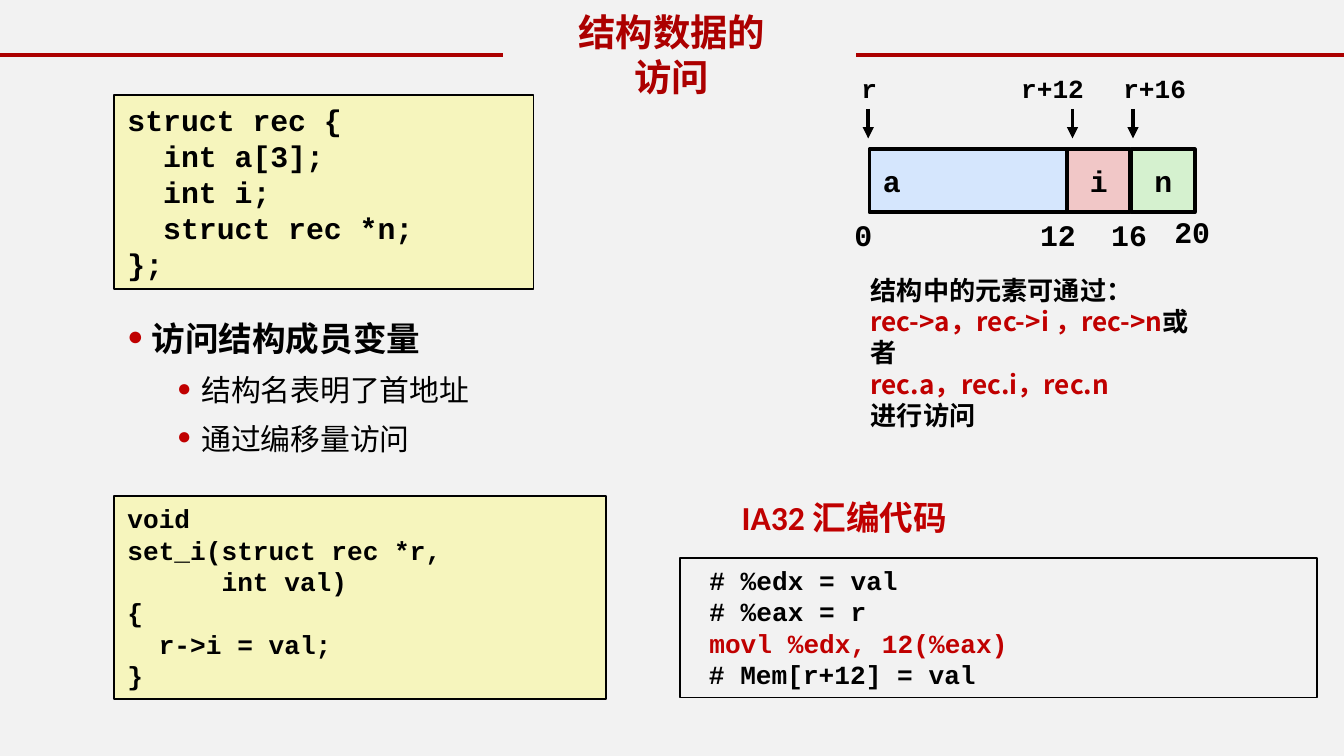
from dataclasses import dataclass
from typing import NamedTuple

from lxml.etree import SubElement
from pptx import Presentation
from pptx.dml.color import RGBColor
from pptx.enum.shapes import MSO_CONNECTOR, MSO_SHAPE
from pptx.enum.text import MSO_ANCHOR, PP_ALIGN
from pptx.oxml.ns import qn
from pptx.util import Inches, Pt

COLORS = {
    "background": "F2F2F2",
    "title": "AC0000",
    "accent": "C00000",
    "ink": "000000",
    "code": "F6F5BD",
    "array": "D5E6FD",
    "integer": "F1C7C7",
    "pointer": "D5F1CF",
}
CJK = "Noto Sans CJK SC"
MONO = "Courier New"
LATIN = "Calibri"


class Box(NamedTuple):
    left: float
    top: float
    width: float
    height: float


@dataclass
class Style:
    size: float
    font: str = MONO
    color: str = "ink"
    bold: bool = True


@dataclass
class Field:
    name: str
    left: float
    width: float
    fill: str
    align: PP_ALIGN


@dataclass
class Label:
    text: str
    left: float
    top: float
    width: float
    height: float
    size: float


CODE_LARGE = Style(16)
CODE_SMALL = Style(14)
CODE_RED = Style(14, color="accent")
NOTE = Style(14, CJK)
NOTE_RED = Style(14, CJK, "accent")

FIELDS = [
    Field("i", 7.94, 0.47, "integer", PP_ALIGN.CENTER),
    Field("a", 6.47, 1.47, "array", PP_ALIGN.LEFT),
    Field("n", 8.42, 0.47, "pointer", PP_ALIGN.CENTER),
]
LABELS = [
    Label("0", 6.26, 1.56, 0.33, 0.37, 16),
    Label("12", 7.64, 1.56, 0.47, 0.37, 16),
    Label("16", 8.17, 1.56, 0.47, 0.37, 16),
    Label("20", 8.64, 1.54, 0.47, 0.37, 16),
    Label("r+12", 7.5, 0.49, 0.67, 0.34, 14),
    Label("r", 6.31, 0.49, 0.32, 0.34, 14),
    Label("r+16", 8.26, 0.49, 0.67, 0.34, 14),
]
ADDRESS_ARROWS = [7.98, 6.46, 8.43]

STRUCT_CODE = ["struct rec {", "  int a[3];", "  int i;", "  struct rec *n;", "};"]
SETTER_CODE = ["void", "set_i(struct rec *r,", "      int val)", "{", "  r->i = val;", "}"]
ASSEMBLY = [
    [("\t# %edx = val", CODE_SMALL)],
    [("\t# %eax = r", CODE_SMALL)],
    [("\t", CODE_SMALL), ("movl %edx, 12(%eax)", CODE_RED)],
    [(" # Mem[r+12] = val", CODE_SMALL)],
]
ACCESS_NOTE = [
    [("结构中的元素可通过：", NOTE)],
    [("rec->a，rec->i ，rec->n", NOTE_RED), ("或者", NOTE)],
    [("rec.a，rec.i，rec.n", NOTE_RED)],
    [("进行访问", NOTE)],
]
POINTS = [
    ("访问结构成员变量", 0, Style(18, LATIN)),
    ("结构名表明了首地址", 1, Style(16, LATIN, bold=False)),
    ("通过编移量访问", 1, Style(16, LATIN, bold=False)),
]

Paragraphs = list[list[tuple[str, Style]]]


def rgb(name: str) -> RGBColor:
    return RGBColor.from_string(COLORS[name])


def add_run(paragraph, text: str, style: Style) -> None:
    run = paragraph.add_run()
    run.text = text
    run.font.size = Pt(style.size)
    run.font.bold = style.bold
    run.font.name = style.font
    run.font.color.rgb = rgb(style.color)
    SubElement(run._r.get_or_add_rPr(), qn("a:ea"), typeface=CJK)


def write(frame, paragraphs: Paragraphs, align: PP_ALIGN = PP_ALIGN.LEFT,
          anchor: MSO_ANCHOR = MSO_ANCHOR.TOP, wrap: bool = True) -> None:
    frame.word_wrap = wrap
    frame.vertical_anchor = anchor
    for index, runs in enumerate(paragraphs):
        paragraph = frame.add_paragraph() if index else frame.paragraphs[0]
        paragraph.alignment = align
        for text, style in runs:
            add_run(paragraph, text, style)


def plain(lines: list[str], style: Style) -> Paragraphs:
    return [[(line, style)] for line in lines]


def add_text(slide, box: Box):
    return slide.shapes.add_textbox(*map(Inches, box)).text_frame


def add_panel(slide, box: Box, fill: str, line_width: float):
    panel = slide.shapes.add_shape(MSO_SHAPE.RECTANGLE, *map(Inches, box))
    panel.shadow.inherit = False
    panel.fill.solid()
    panel.fill.fore_color.rgb = rgb(fill)
    panel.line.color.rgb = rgb("ink")
    panel.line.width = Pt(line_width)
    return panel.text_frame


def add_line(slide, start: tuple[float, float], end: tuple[float, float],
             color: str, width: float, arrow: bool = False) -> None:
    line = slide.shapes.add_connector(
        MSO_CONNECTOR.STRAIGHT, *map(Inches, (*start, *end)))
    line.line.color.rgb = rgb(color)
    line.line.width = Pt(width)
    if arrow:
        SubElement(line.line._get_or_add_ln(), qn("a:tailEnd"), type="triangle")
    SubElement(line._element.spPr, qn("a:effectLst"))


def add_points(slide, box: Box) -> None:
    frame = add_text(slide, box)
    write(frame, [[] for _ in POINTS])
    for index, (text, level, style) in enumerate(POINTS):
        paragraph = frame.paragraphs[index]
        properties = paragraph._p.get_or_add_pPr()
        properties.set("marL", str(Inches(0.55 if level else 0.18)))
        properties.set("indent", str(Inches(-0.18)))
        bullet_color = SubElement(properties, qn("a:buClr"))
        SubElement(bullet_color, qn("a:srgbClr"), val=COLORS["accent"])
        SubElement(properties, qn("a:buSzPct"), val="80000")
        SubElement(properties, qn("a:buFont"), typeface=MONO)
        SubElement(properties, qn("a:buChar"), char="●")
        paragraph.level = level
        paragraph.line_spacing = 1.2
        if index:
            paragraph.space_before = Pt(0.2 * style.size)
        add_run(paragraph, text, style)


def add_assembly(slide, box: Box) -> None:
    frame = add_panel(slide, box, "background", 1)
    write(frame, ASSEMBLY)
    for paragraph in frame.paragraphs:
        tabs = SubElement(paragraph._p.get_or_add_pPr(), qn("a:tabLst"))
        SubElement(tabs, qn("a:tab"), pos=str(Inches(0.12)), algn="l")


def add_memory_layout(slide) -> None:
    for field in FIELDS:
        cell = add_panel(slide, Box(field.left, 1.11, field.width, 0.47), field.fill, 2)
        write(cell, plain([field.name], CODE_LARGE), field.align, MSO_ANCHOR.MIDDLE, False)
    for label in LABELS:
        frame = add_text(slide, Box(label.left, label.top, label.width, label.height))
        write(frame, plain([label.text], Style(label.size)), wrap=False)
    for x in ADDRESS_ARROWS:
        add_line(slide, (x, 0.81), (x, 1.03), "ink", 2, arrow=True)


def main() -> None:
    deck = Presentation()
    deck.slide_width = Inches(10)
    deck.slide_height = deck.slide_width * 9 // 16
    slide = deck.slides.add_slide(deck.slide_layouts[6])
    slide.background.fill.solid()
    slide.background.fill.fore_color.rgb = rgb("background")

    for start, end in ((0, 3.74), (6.37, 10)):
        add_line(slide, (start, 0.41), (end, 0.41), "title", 1.75)
    write(add_text(slide, Box(4.17, 0.02, 1.66, 0.77)),
          plain(["结构数据的访问"], Style(20, CJK, "title")), PP_ALIGN.CENTER)
    write(add_panel(slide, Box(0.85, 0.71, 3.12, 1.44), "code", 1),
          plain(STRUCT_CODE, CODE_LARGE))
    add_memory_layout(slide)
    write(add_text(slide, Box(6.38, 1.99, 2.61, 1.28)), ACCESS_NOTE)
    add_points(slide, Box(0.85, 2.26, 3.56, 1.39))
    write(add_text(slide, Box(5.42, 3.65, 3.68, 0.45)),
          plain(["IA32 汇编代码"], Style(18, LATIN, "accent")))
    add_assembly(slide, Box(5.06, 4.15, 4.74, 1.04))
    write(add_panel(slide, Box(0.85, 3.69, 3.66, 1.51), "code", 1),
          plain(SETTER_CODE, CODE_SMALL))
    deck.save("out.pptx")


if __name__ == "__main__":
    main()
